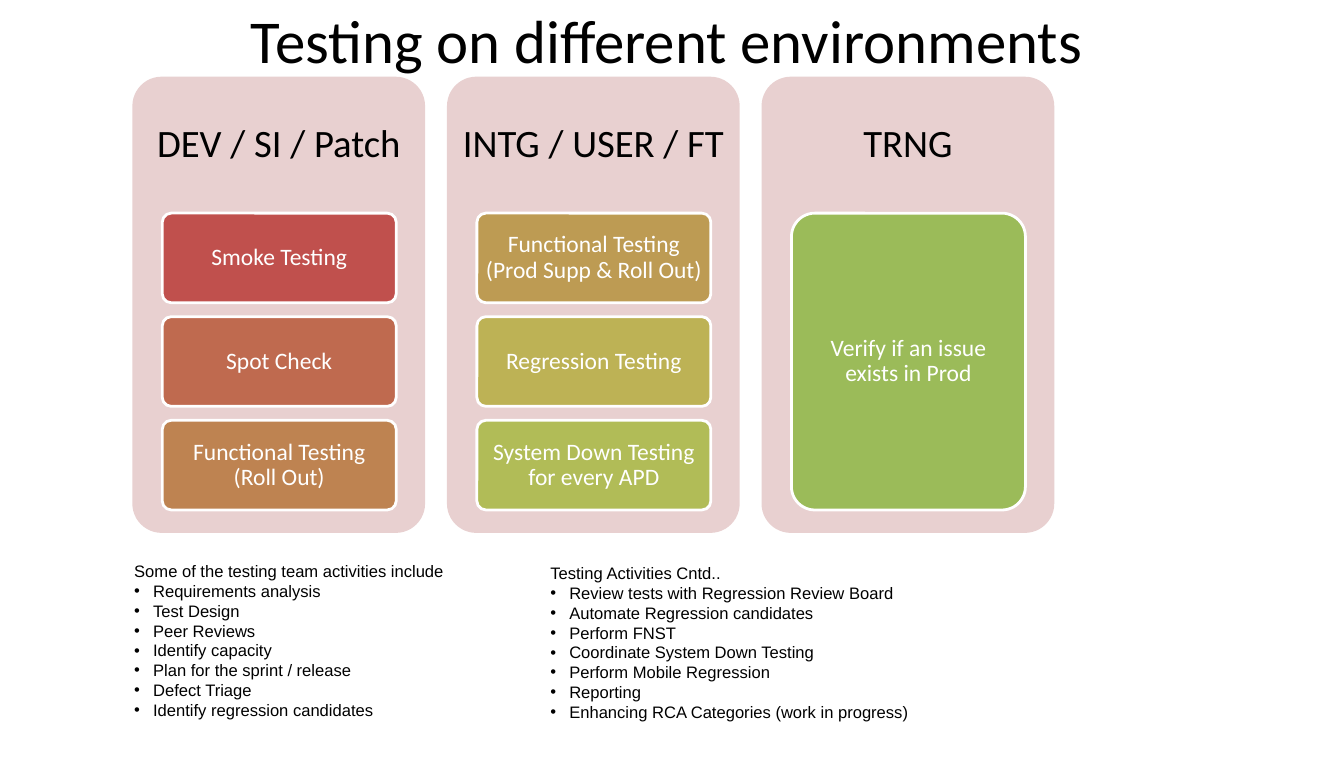
from dataclasses import dataclass

from lxml.etree import SubElement
from pptx import Presentation
from pptx.dml.color import RGBColor
from pptx.enum.shapes import MSO_SHAPE
from pptx.enum.text import MSO_ANCHOR, MSO_AUTO_SIZE, PP_ALIGN
from pptx.oxml.ns import qn
from pptx.util import Pt

EMU_PER_PX = 9144  # 100 px to the inch


@dataclass(frozen=True)
class Theme:
    heading_font: str = "Calibri"
    list_font: str = "Arial"
    text: str = "000000"
    light: str = "FFFFFF"
    panel: str = "E8D0D0"
    title_size: int = 44
    panel_size: int = 28
    card_size: int = 17
    list_size: int = 12


THEME = Theme()

# Environment name, then its tests with their card colours
ENVIRONMENTS = [
    ("DEV / SI / Patch", [
        ("Smoke Testing", "C0504D"),
        ("Spot Check", "BF6A4F"),
        ("Functional Testing (Roll Out)", "BE8351"),
    ]),
    ("INTG / USER / FT", [
        ("Functional Testing (Prod Supp & Roll Out)", "BD9B53"),
        ("Regression Testing", "BDB255"),
        ("System Down Testing for every APD", "B1BC57"),
    ]),
    ("TRNG", [("Verify if an issue exists in Prod", "9BBB59")]),
]

TEAM_ACTIVITIES = [
    "Requirements analysis",
    "Test Design",
    "Peer Reviews",
    "Identify capacity",
    "Plan for the sprint / release",
    "Defect Triage",
    "Identify regression candidates",
]

MORE_ACTIVITIES = [
    "Review tests with Regression Review Board",
    "Automate Regression candidates",
    "Perform FNST",
    "Coordinate System Down Testing",
    "Perform Mobile Regression",
    "Reporting",
    "Enhancing RCA Categories (work in progress)",
]

PANEL_LEFT, PANEL_TOP, PANEL_WIDTH, PANEL_HEIGHT, PANEL_STEP = 133, 77, 294, 458, 316
CARD_INDENT, CARD_TOP, CARD_WIDTH, CARD_GAP, STACK_HEIGHT = 30, 214, 235, 14, 298


def px(length):
    return round(length * EMU_PER_PX)


def add_run(paragraph, text, font, size, color):
    run = paragraph.add_run()
    run.text = text
    run.font.name = font
    run.font.size = Pt(size)
    run.font.color.rgb = RGBColor.from_string(color)


def set_insets(frame, left, top, right, bottom):
    frame.margin_left, frame.margin_top = px(left), px(top)
    frame.margin_right, frame.margin_bottom = px(right), px(bottom)


def add_title(slide, text):
    title = slide.shapes.title
    title.left, title.top, title.width, title.height = px(68), px(-3), px(1204), px(79)
    frame = title.text_frame
    frame.auto_size = MSO_AUTO_SIZE.NONE
    frame.vertical_anchor = MSO_ANCHOR.TOP
    set_insets(frame, 12, 6, 12, 6)
    heading = frame.paragraphs[0]
    heading.alignment = PP_ALIGN.CENTER
    add_run(heading, text, THEME.heading_font, THEME.title_size, THEME.text)


def add_rounded_box(slide, box, fill, text, size, color, insets, outline=None):
    rounded = slide.shapes.add_shape(MSO_SHAPE.ROUNDED_RECTANGLE, *map(px, box))
    rounded.adjustments[0] = 0.1
    rounded.shadow.inherit = False
    rounded.fill.solid()
    rounded.fill.fore_color.rgb = RGBColor.from_string(fill)
    if outline:
        rounded.line.color.rgb = RGBColor.from_string(outline)
        rounded.line.width = Pt(2)
    else:
        rounded.line.fill.background()
    frame = rounded.text_frame
    frame.word_wrap = True
    frame.vertical_anchor = MSO_ANCHOR.MIDDLE
    set_insets(frame, *insets)
    label = frame.paragraphs[0]
    label.alignment = PP_ALIGN.CENTER
    label.line_spacing = 0.9
    add_run(label, text, THEME.heading_font, size, color)


def add_environment(slide, left, name, tests):
    # Panel: the deep bottom inset keeps its name above the cards
    add_rounded_box(slide, (left, PANEL_TOP, PANEL_WIDTH, PANEL_HEIGHT), THEME.panel,
                    name, THEME.panel_size, THEME.text, (0, 12, 0, 332))
    # Cards share the stack height equally
    height = (STACK_HEIGHT - CARD_GAP * (len(tests) - 1)) / len(tests)
    for row, (test, fill) in enumerate(tests):
        top = CARD_TOP + row * (height + CARD_GAP)
        add_rounded_box(slide, (left + CARD_INDENT, top, CARD_WIDTH, height), fill,
                        test, THEME.card_size, THEME.light, (5, 4, 5, 4), THEME.light)


def add_bullet(paragraph):
    properties = paragraph._p.get_or_add_pPr()
    properties.set("marL", str(px(19)))
    properties.set("indent", str(px(-19)))
    SubElement(properties, qn("a:buFont"), typeface=THEME.list_font)
    SubElement(properties, qn("a:buChar"), char="•")


def add_activities(slide, box, heading, activities):
    frame = slide.shapes.add_textbox(*map(px, box)).text_frame
    frame.word_wrap = True
    frame.auto_size = MSO_AUTO_SIZE.SHAPE_TO_FIT_TEXT
    set_insets(frame, 10, 5, 10, 5)
    add_run(frame.paragraphs[0], heading, THEME.list_font, THEME.list_size, THEME.text)
    for activity in activities:
        item = frame.add_paragraph()
        add_bullet(item)
        add_run(item, activity, THEME.list_font, THEME.list_size, THEME.text)


def main():
    deck = Presentation()
    deck.slide_width, deck.slide_height = px(1350), px(760)
    slide = deck.slides.add_slide(deck.slide_layouts[5])

    add_title(slide, "Testing on different environments")

    # Environment columns
    for column, (name, tests) in enumerate(ENVIRONMENTS):
        add_environment(slide, PANEL_LEFT + column * PANEL_STEP, name, tests)

    # Activity lists
    add_activities(slide, (125, 558, 417, 172),
                   "Some of the testing team activities include", TEAM_ACTIVITIES)
    add_activities(slide, (543, 560, 675, 172),
                   "Testing Activities Cntd..", MORE_ACTIVITIES)

    deck.save("out.pptx")


if __name__ == "__main__":
    main()
